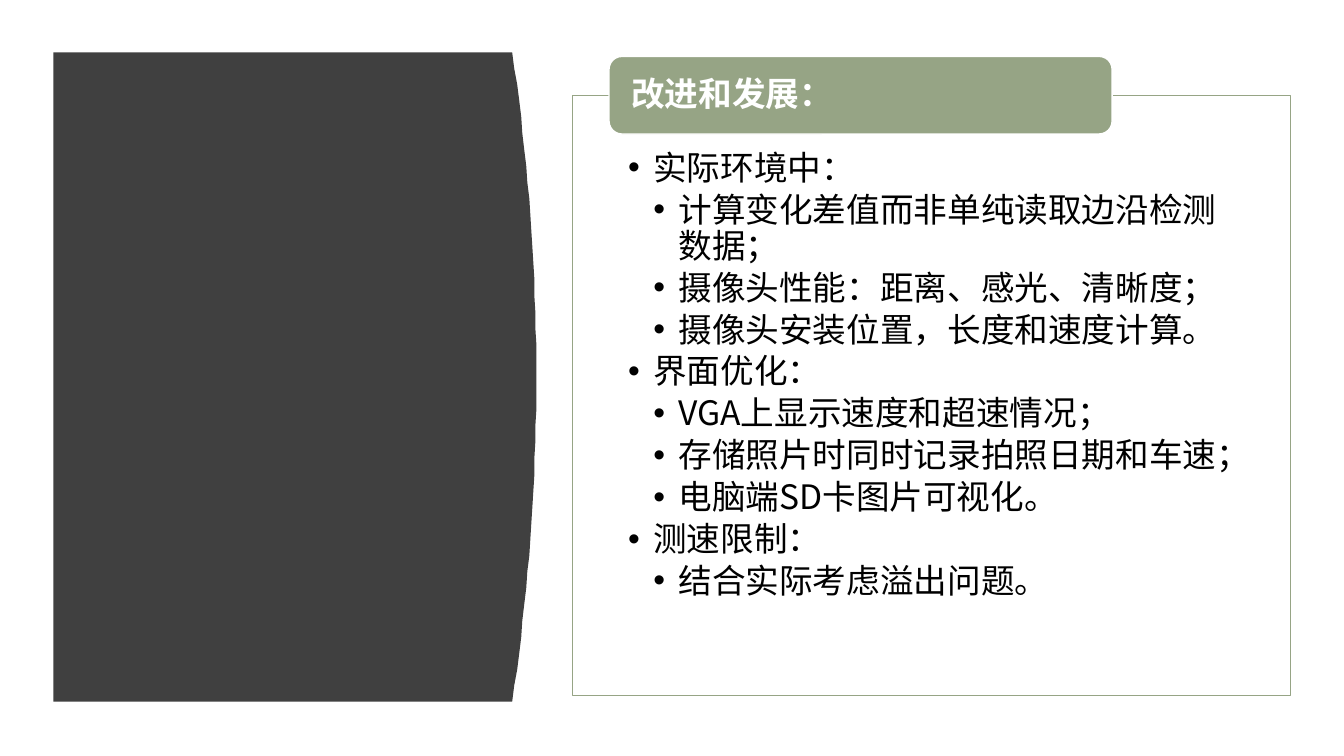
from lxml.etree import SubElement
from pptx import Presentation
from pptx.dml.color import RGBColor
from pptx.enum.shapes import MSO_SHAPE
from pptx.enum.text import MSO_ANCHOR, MSO_AUTO_SIZE, PP_ALIGN
from pptx.oxml.ns import qn
from pptx.util import Pt

PX = 9144
COLORS = {
    "dark": "404040",
    "sage": "96A485",
    "white": "FFFFFF",
    "black": "000000",
}
SECTIONS = [
    ("实际环境中：", [
        "计算变化差值而非单纯读取边沿检测数据；",
        "摄像头性能：距离、感光、清晰度；",
        "摄像头安装位置，长度和速度计算。",
    ]),
    ("界面优化：", [
        "VGA上显示速度和超速情况；",
        "存储照片时同时记录拍照日期和车速；",
        "电脑端SD卡图片可视化。",
    ]),
    ("测速限制：", ["结合实际考虑溢出问题。"]),
]


class SlideKit:
    font = "Noto Sans CJK SC"
    size = 24
    indent = 25

    def __init__(self, slide):
        self.slide = slide

    def color(self, name):
        return RGBColor.from_string(COLORS[name])

    def paint(self, shape, fill, line=None):
        shape.shadow.inherit = False
        shape.fill.solid()
        shape.fill.fore_color.rgb = self.color(fill)
        if line:
            shape.line.color.rgb = self.color(line)
            shape.line.width = Pt(1)
        else:
            shape.line.fill.background()

    def curved_panel(self, left, top, right, bottom, bulge, fill, steps=40):
        middle, half = (top + bottom) / 2, (bottom - top) / 2
        heights = [top + (bottom - top) * i / steps for i in range(steps + 1)]
        edge = [(right + bulge * (1 - ((y - middle) / half) ** 2), y) for y in heights]
        outline = self.slide.shapes.build_freeform(left, top, scale=PX)
        outline.add_line_segments(edge + [(left, bottom)], close=True)
        self.paint(outline.convert_to_shape(), fill)

    def box(self, preset, bounds, fill, line):
        shape = self.slide.shapes.add_shape(preset, *(v * PX for v in bounds))
        self.paint(shape, fill, line)
        return shape

    def place(self, holder, bounds, insets, anchor):
        holder.left, holder.top, holder.width, holder.height = (v * PX for v in bounds)
        self.slide.shapes._spTree.append(holder._element)
        frame = holder.text_frame
        frame.word_wrap = True
        frame.auto_size = MSO_AUTO_SIZE.NONE
        frame.vertical_anchor = anchor
        (frame.margin_left, frame.margin_top,
         frame.margin_right, frame.margin_bottom) = (v * PX for v in insets)
        return frame

    def add_text(self, paragraph, text, color, bold=False, after=0):
        paragraph.alignment = PP_ALIGN.LEFT
        paragraph.line_spacing = 0.9
        paragraph.space_before = Pt(0)
        paragraph.space_after = Pt(after)
        run = paragraph.add_run()
        run.text = text
        run.font.size = Pt(self.size)
        run.font.bold = bold
        run.font.color.rgb = self.color(color)
        run.font.name = self.font
        SubElement(run.font._element, qn("a:ea")).set("typeface", self.font)

    def title(self, text, bounds, insets, color):
        frame = self.place(self.slide.shapes.title, bounds, insets, MSO_ANCHOR.MIDDLE)
        self.add_text(frame.paragraphs[0], text, color, bold=True)

    def bullets(self, sections, bounds, insets, color):
        frame = self.place(self.slide.placeholders[1], bounds, insets, MSO_ANCHOR.TOP)
        items = []
        for topic, points in sections:
            items.append((0, topic))
            items += [(1, point) for point in points]
        for number, (level, text) in enumerate(items):
            paragraph = frame.add_paragraph() if number else frame.paragraphs[0]
            paragraph.level = level
            self.add_text(paragraph, text, color, after=4)
            properties = paragraph._p.get_or_add_pPr()
            properties.set("marL", str((level + 1) * self.indent * PX))
            properties.set("indent", str(-self.indent * PX))
            SubElement(properties, qn("a:buFont")).set("typeface", "Arial")
            SubElement(properties, qn("a:buChar")).set("char", "•")


def main():
    deck = Presentation()
    deck.slide_width, deck.slide_height = 1333 * PX, 750 * PX
    kit = SlideKit(deck.slides.add_slide(deck.slide_layouts[1]))
    content = (568, 95, 712, 595)

    kit.curved_panel(53, 52, 508, 696, 24, "dark")
    frame = kit.box(MSO_SHAPE.RECTANGLE, content, "white", "sage")
    frame_color = frame._element.spPr.find(qn("a:solidFill"))[0]
    SubElement(frame_color, qn("a:alpha")).set("val", "90000")
    kit.bullets(SECTIONS, content, (55, 55, 55, 19), "black")
    kit.box(MSO_SHAPE.ROUNDED_RECTANGLE, (604, 56, 499, 77), "sage", "white")
    kit.title("改进和发展：", (607, 60, 491, 70), (19, 0, 19, 0), "white")
    deck.save("out.pptx")


if __name__ == "__main__":
    main()
